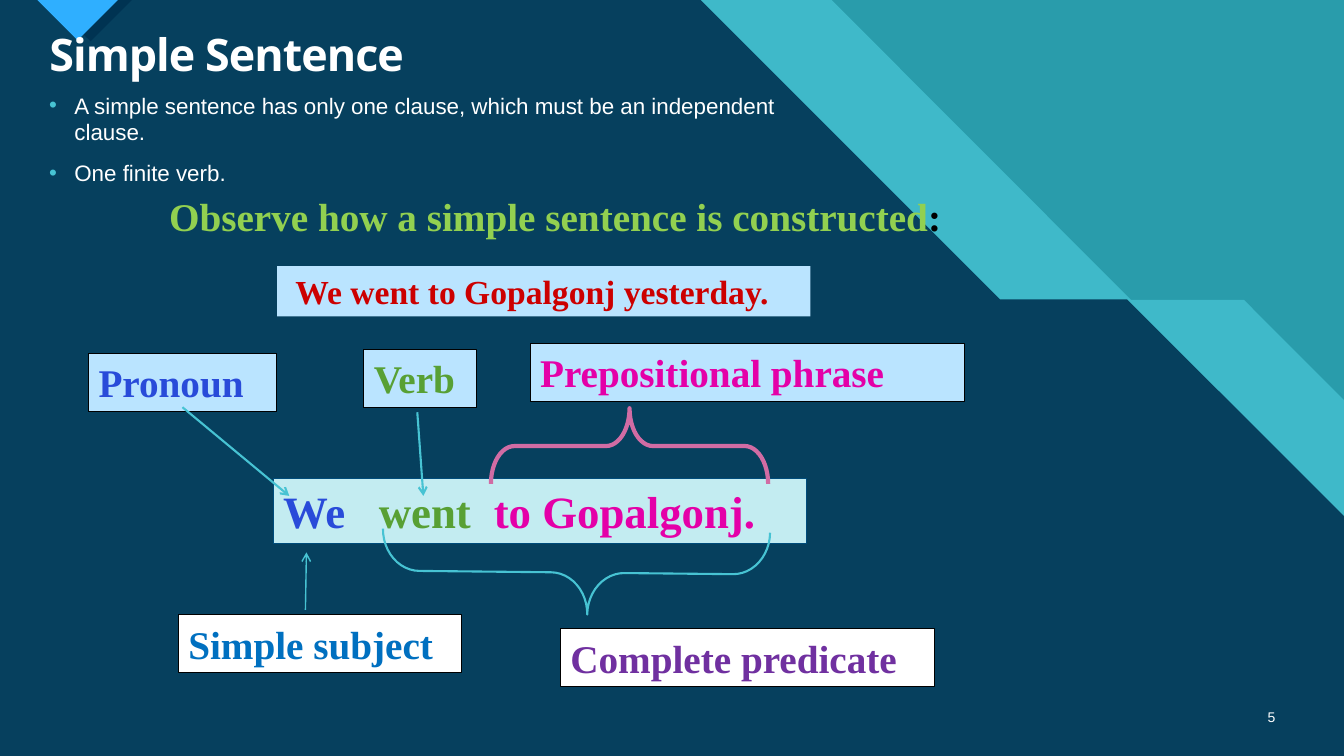
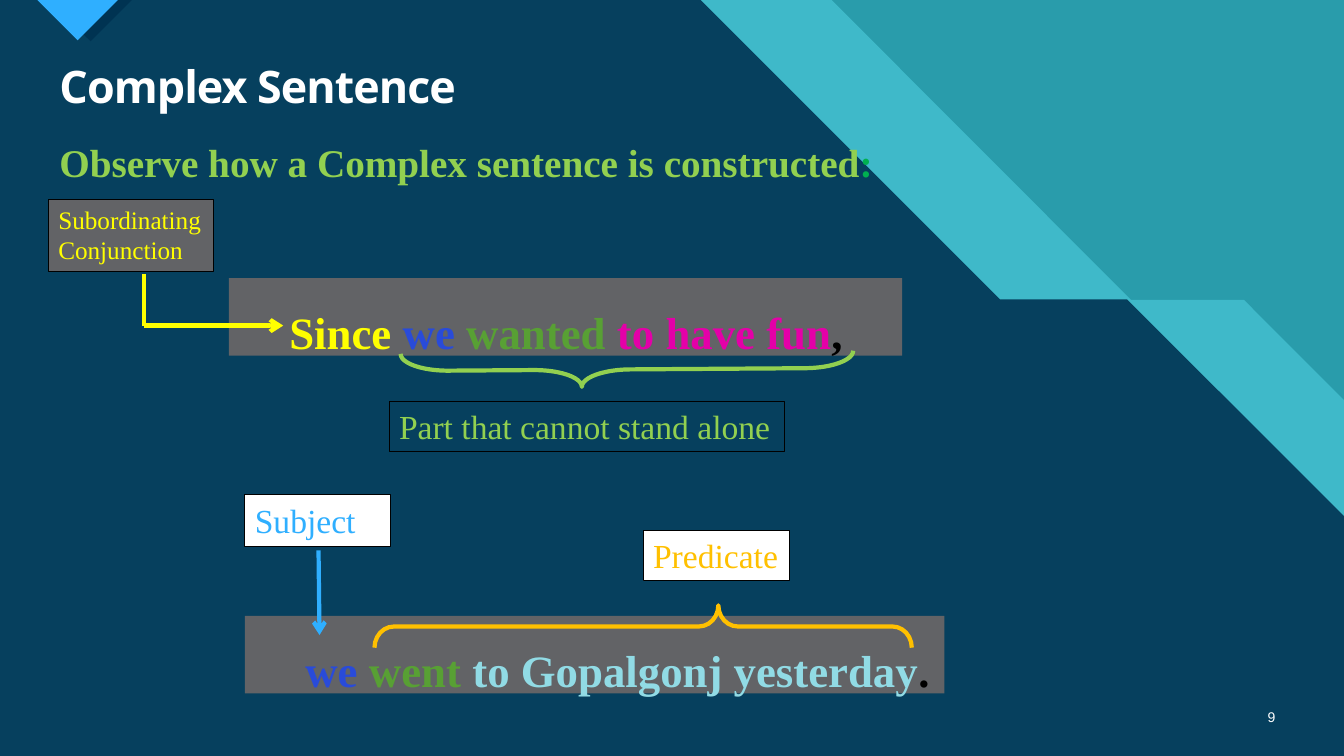
from lxml.etree import SubElement
from pptx import Presentation
from pptx.dml.color import RGBColor
from pptx.enum.shapes import MSO_CONNECTOR, MSO_SHAPE
from pptx.enum.text import MSO_ANCHOR, MSO_AUTO_SIZE, PP_ALIGN
from pptx.oxml.ns import qn
from pptx.util import Inches, Pt

CELL = Inches(0.1)
COLS, ROWS = 133.33, 75

WHITE = RGBColor(0xFF, 0xFF, 0xFF)
BLACK = RGBColor(0, 0, 0)
TEAL = RGBColor(0x29, 0x9C, 0xAB)
AQUA = RGBColor(0x3F, 0xB9, 0xC9)
NAVY = RGBColor(0x06, 0x40, 0x5E)
SHADE = RGBColor(0x00, 0x33, 0x52)
SKY = RGBColor(0x2F, 0xAF, 0xFF)
CYAN = RGBColor(0x47, 0xC3, 0xD3)
PALE = RGBColor(0xBA, 0xE4, 0xFF)
MINT = RGBColor(0xC3, 0xEC, 0xF1)
EDGE = RGBColor(0x00, 0x4C, 0x7B)
GRAY = RGBColor(0x62, 0x63, 0x66)
LIME = RGBColor(0x92, 0xD0, 0x50)
GREEN = RGBColor(0x00, 0xB0, 0x50)
LEAF = RGBColor(0x58, 0xA0, 0x34)
RED = RGBColor(0xCC, 0, 0)
BLUE = RGBColor(0x29, 0x4B, 0xD9)
AZURE = RGBColor(0x00, 0x70, 0xC0)
PURPLE = RGBColor(0x70, 0x30, 0xA0)
PINK = RGBColor(0xE4, 0x00, 0xA8)
ROSE = RGBColor(0xD1, 0x6C, 0xA4)
YELLOW = RGBColor(0xFF, 0xFF, 0)
GOLD = RGBColor(0xFF, 0xC0, 0)
ICE = RGBColor(0x91, 0xDB, 0xE5)

SERIF, SANS = "Times New Roman", "Arial"
HEAD = {"name": "Open Sans", "size": Pt(32), "bold": True}
BIG = {"name": SERIF, "size": Pt(32), "bold": True}
LABEL = {"name": SERIF, "size": Pt(28), "bold": True}
QUOTE = {"name": SERIF, "size": Pt(24), "bold": True}
PLAIN = {"name": SERIF, "size": Pt(24), "bold": False}
SMALL = {"name": SERIF, "size": Pt(18), "bold": False}
LIST = {"name": SANS, "size": Pt(16), "bold": False}
FOOT = {"name": SANS, "size": Pt(10), "bold": False}

LEFT = {"alignment": PP_ALIGN.LEFT}
RIGHT = {"alignment": PP_ALIGN.RIGHT}
TIGHT = {**LEFT, "line_spacing": 0.9}
LOOSE = {**LEFT, "line_spacing": 1.4, "space_before": Pt(6)}
ITEM = {**LEFT, "space_before": Pt(6), "space_after": Pt(4)}
FRAME = {
    "word_wrap": True,
    "auto_size": MSO_AUTO_SIZE.NONE,
    "vertical_anchor": MSO_ANCHOR.TOP,
}

BANDS = [
    (TEAL, [(0, 0), (COLS, 0), (COLS, ROWS), (0, ROWS)]),
    (AQUA, [(0, 0), (82.5, 0), (112.2, 29.75), (123.4, 29.75),
            (COLS, 39.7), (COLS, ROWS), (0, ROWS)]),
    (NAVY, [(0, 0), (69.5, 0), (99.2, 29.7), (111.8, 29.7),
            (COLS, 51.2), (COLS, ROWS), (0, ROWS)]),
    (SHADE, [(4.8, 0), (13.1, 0), (9, 4.1)]),
    (SKY, [(3.7, 0), (11.7, 0), (7.7, 4)]),
]


def cells(*counts):
    """Turn counts of grid cells into lengths."""
    return [round(n * CELL) for n in counts]


def apply(item, values):
    """Set each named value on an item."""
    for name, value in values.items():
        setattr(item, name, value)


def paint(shape, fill=None, line=None, width=0.75):
    """Give a shape its fill and outline, without a shadow."""
    shape.shadow.inherit = False
    if fill is None:
        shape.fill.background()
    else:
        shape.fill.solid()
        shape.fill.fore_color.rgb = fill
    if line is None:
        shape.line.fill.background()
    else:
        shape.line.color.rgb = line
        shape.line.width = Pt(width)


def write(shape, lines, look, para=LEFT, inset=1):
    """Fill a shape with lines made of (text, colour) parts."""
    frame = shape.text_frame
    apply(frame, {**FRAME, "margin_left": cells(inset)[0]})
    for count, parts in enumerate(lines):
        par = frame.add_paragraph() if count else frame.paragraphs[0]
        apply(par, para)
        for text, color in parts:
            run = par.add_run()
            run.text = text
            apply(run.font, look)
            run.font.color.rgb = color
    return shape


def title(slide, box, text):
    """Place and style the title."""
    shape = slide.shapes.title
    apply(shape, dict(zip(("left", "top", "width", "height"), cells(*box))))
    write(shape, [[(text, WHITE)]], HEAD, TIGHT)
    for props in shape.element.xpath(".//a:rPr"):
        props.set("spc", "-70")


def words(slide, box, lines, look, para=LEFT):
    """Add a plain text box."""
    return write(slide.shapes.add_textbox(*cells(*box)), lines, look, para)


def number(slide, text):
    """Add the page number in the corner."""
    shape = words(slide, (123.1, 69.1, 4.4, 4), [[(text, WHITE)]], FOOT, RIGHT)
    shape.text_frame.vertical_anchor = MSO_ANCHOR.MIDDLE


def bullets(slide, box, items):
    """Add a bulleted list."""
    shape = words(slide, box, [[(item, WHITE)] for item in items], LIST, ITEM)
    for props in shape.element.xpath(".//a:pPr"):
        hang = Inches(0.25)
        props.set("marL", str(hang))
        props.set("indent", str(-hang))
        tint = SubElement(props, qn("a:buClr"))
        SubElement(tint, qn("a:srgbClr"), val=str(CYAN))
        SubElement(props, qn("a:buFont"), typeface=SANS)
        SubElement(props, qn("a:buChar"), char="\u2022")


def panel(slide, box, lines, look, fill=None, line=None, para=LEFT, inset=1):
    """Add a text panel."""
    shape = slide.shapes.add_shape(MSO_SHAPE.RECTANGLE, *cells(*box))
    paint(shape, fill, line)
    return write(shape, lines, look, para, inset)


def tabs(shape, *stops):
    """Set tab stops, in cells, on the first paragraph."""
    props = shape.element.xpath(".//a:pPr")[0]
    group = SubElement(props, qn("a:tabLst"))
    for stop in cells(*stops):
        SubElement(group, qn("a:tab"), pos=str(stop), algn="l")


def link(slide, ends, color, width, head=True):
    """Add a straight line, with an arrowhead if asked."""
    line = slide.shapes.add_connector(MSO_CONNECTOR.STRAIGHT, *cells(*ends))
    line.line.color.rgb = color
    line.line.width = Pt(width)
    if head:
        SubElement(line.line._get_or_add_ln(), qn("a:tailEnd"), type="arrow")
    SubElement(line.element.spPr, qn("a:effectLst"))


def brace(slide, box, turn, bends, color, width):
    """Add a turned brace."""
    shape = slide.shapes.add_shape(MSO_SHAPE.LEFT_BRACE, *cells(*box))
    paint(shape, None, color, width)
    shape.rotation = turn
    for spot, bend in enumerate(bends):
        shape.adjustments[spot] = bend


def backdrop(slide):
    """Draw the bands and move them to the layout of the slide."""
    tree = slide.slide_layout.shapes.element
    for spot, (color, points) in enumerate(BANDS):
        dots = [tuple(cells(*point)) for point in points]
        maker = slide.shapes.build_freeform(*dots[0])
        maker.add_line_segments(dots[1:])
        shape = maker.convert_to_shape()
        paint(shape, color)
        shape.element.xpath(".//p:cNvPr")[0].set("id", str(100 + spot))
        tree.insert(2 + spot, shape.element)


def simple(slide):
    """Build the simple sentence slide."""
    title(slide, (3.9, 2.8, 122.6, 5.9), "Simple Sentence")
    number(slide, "5")
    bullets(slide, (3.9, 8.6, 74.4, 10.5), [
        "A simple sentence has only one clause, which must be an independent clause.",
        "One finite verb.",
    ])
    panel(slide, (27.5, 26.4, 52.9, 5),
          [[("We went to Gopalgonj yesterday.", RED)]], QUOTE, PALE, inset=1.8)
    words(slide, (15.8, 18.6, 84.2, 5.7),
          [[("Observe how a simple sentence is constructed", LIME), (":", BLACK)]], LABEL)
    parts = [("We\t", BLUE), ("went\t", LEAF), ("to Gopalgonj.", PINK)]
    tabs(panel(slide, (27.1, 47.5, 52.9, 6.4), [parts], BIG, MINT, EDGE), 9.5, 20.9)
    for box, text, color, fill in [
        ((17.7, 61, 28.1, 5.7), "Simple subject", AZURE, WHITE),
        ((55.6, 62.4, 37.1, 5.7), "Complete predicate", PURPLE, WHITE),
        ((8.8, 35.1, 18.6, 5.7), "Pronoun", BLUE, PALE),
        ((36.1, 34.7, 11.2, 5.7), "Verb", LEAF, PALE),
        ((52.6, 34.1, 43.1, 5.7), "Prepositional phrase", PINK, PALE),
    ]:
        panel(slide, box, [[(text, color)]], LABEL, fill, BLACK)
    link(slide, (30.3, 60.5, 30.4, 54.8), CYAN, 1)
    link(slide, (18.1, 40.4, 28.7, 49.2), CYAN, 1.5)
    link(slide, (41.4, 40.9, 42, 49.2), CYAN, 1.5)
    brace(slide, (53, 37.6, 8.3, 38.4), 270.6, (0.44, 0.53), CYAN, 1.5)
    brace(slide, (58.7, 30.5, 7.5, 27.5), 90, (0.31, 0.5), ROSE, 3)


def complex_(slide):
    """Build the complex sentence slide."""
    title(slide, (4.9, 5.9, 122.6, 5.9), "Complex Sentence")
    number(slide, "9")
    words(slide, (4.9, 13.2, 113.1, 5.7),
          [[("Observe how a Complex sentence is constructed", LIME), (":", GREEN)]], LABEL)
    for box, parts in [
        ((22.7, 27.6, 66.8, 7.7), [("Since ", YELLOW), ("we ", BLUE), ("wanted ", LEAF),
                                   ("to have fun", PINK), (",", BLACK)]),
        ((24.3, 61.1, 69.4, 7.7), [("we ", BLUE), ("went ", LEAF),
                                   ("to Gopalgonj yesterday", ICE), (".", BLACK)]),
    ]:
        panel(slide, box, [parts], BIG, GRAY, para=LOOSE, inset=6)
    panel(slide, (4.8, 19.8, 16.4, 7.1),
          [[("Subordinating", YELLOW)], [("Conjunction", YELLOW)]], SMALL, GRAY, BLACK)
    for box, text, color, fill in [
        ((38.6, 39.8, 39.2, 5), "Part that cannot stand alone", LIME, None),
        ((24.3, 49.1, 14.4, 5.1), "Subject", SKY, WHITE),
        ((63.8, 52.6, 14.5, 5), "Predicate", GOLD, WHITE),
    ]:
        panel(slide, box, [[(text, color)]], PLAIN, fill, BLACK)
    link(slide, (14.3, 27.2, 14.3, 32.3), YELLOW, 3, head=False)
    link(slide, (14.3, 32.3, 28.1, 32.3), YELLOW, 3)
    link(slide, (31.6, 54.6, 31.7, 63), SKY, 3)
    brace(slide, (60.5, 14.2, 3.4, 44.9), 269.6, (1.41, 0.4), LIME, 3)
    brace(slide, (61.7, 35.5, 4.2, 53.3), 90, (0.46, 0.36), GOLD, 3)


def main():
    """Build and save the slides."""
    deck = Presentation()
    deck.slide_width, deck.slide_height = cells(COLS, ROWS)
    layout = deck.slide_layouts[5]
    first, second = [deck.slides.add_slide(layout) for _ in range(2)]
    backdrop(first)
    simple(first)
    complex_(second)
    deck.save("out.pptx")


main()
